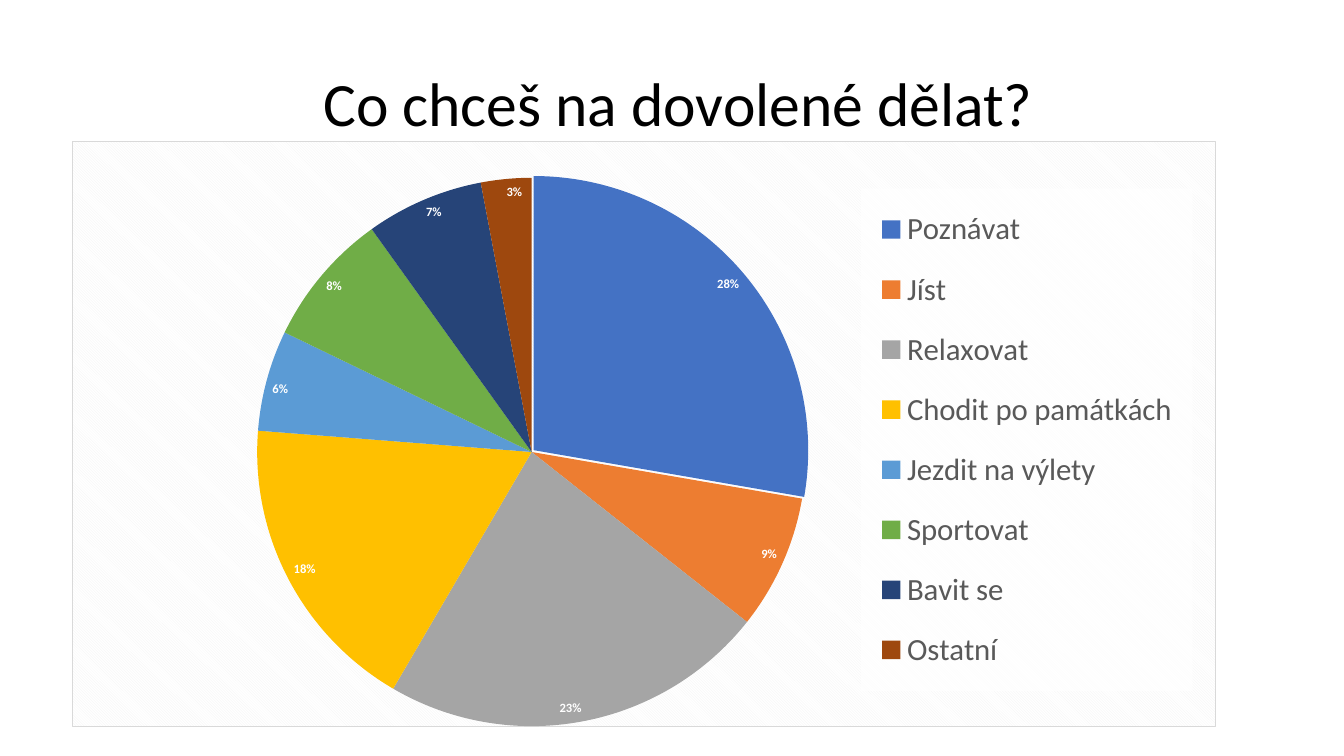
"""Build a slide with a pie chart of what people want to do on holiday."""
import pptx
import pptx.chart.data
import pptx.dml.color
import pptx.enum.chart
import pptx.enum.text
import pptx.oxml
import pptx.util

NS = ('xmlns:c="http://schemas.openxmlformats.org/drawingml/2006/chart" '
      'xmlns:a="http://schemas.openxmlformats.org/drawingml/2006/main"')
FONT = "Calibri"


def style(font, size, color, bold=False):
    font.name, font.size, font.bold = FONT, pptx.util.Pt(size), bold
    font.color.rgb = pptx.dml.color.RGBColor.from_string(color)


def layout(x, y, w, h, target=""):
    return pptx.oxml.parse_xml(
        f'<c:layout {NS}><c:manualLayout>{target}'
        '<c:xMode val="edge"/><c:yMode val="edge"/>'
        f'<c:x val="{x}"/><c:y val="{y}"/><c:w val="{w}"/><c:h val="{h}"/>'
        '</c:manualLayout></c:layout>')


activities = [
    ("Poznávat", 28, "4472C4"),
    ("Jíst", 8, "ED7D31"),
    ("Relaxovat", 23, "A5A5A5"),
    ("Chodit po památkách", 18, "FFC000"),
    ("Jezdit na výlety", 6, "5B9BD5"),
    ("Sportovat", 8, "70AD47"),
    ("Bavit se", 7, "264478"),
    ("Ostatní", 3, "9E480E"),
]

deck = pptx.Presentation()
deck.slide_width = pptx.util.Inches(13.33)
deck.slide_height = pptx.util.Inches(7.5)
slide = deck.slides.add_slide(deck.slide_layouts[6])

survey = pptx.chart.data.CategoryChartData()
survey.categories = [name for name, share, color in activities]
survey.add_series("Series 1", [share for name, share, color in activities])
pie = slide.shapes.add_chart(
    pptx.enum.chart.XL_CHART_TYPE.PIE,
    *[pptx.util.Inches(n) for n in (0.71, 1.4, 11.35, 5.81)], survey).chart
pie.has_title = False
style(pie.font, 10, "000000")
pie._chartSpace.find("{*}chart").addnext(pptx.oxml.parse_xml(
    f'<c:spPr {NS}><a:pattFill prst="dkDnDiag">'
    '<a:fgClr><a:srgbClr val="F2F2F2"/></a:fgClr>'
    '<a:bgClr><a:srgbClr val="FFFFFF"/></a:bgClr></a:pattFill>'
    '<a:ln w="9525"><a:solidFill><a:srgbClr val="D9D9D9"/></a:solidFill></a:ln>'
    '</c:spPr>'))

plot_area = pie._chartSpace.find(".//{*}plotArea")
for automatic in plot_area.findall("{*}layout"):
    plot_area.remove(automatic)
plot_area.insert(0, layout(0.149, 0.062, 0.506, 0.938,
                           '<c:layoutTarget val="inner"/>'))

plot = pie.plots[0]
plot.vary_by_categories = True
slices = plot.series[0]
for index, (name, share, color) in enumerate(activities):
    fill = slices.points[index].format.fill
    fill.solid()
    fill.fore_color.rgb = pptx.dml.color.RGBColor.from_string(color)
slices._element.find("{*}dPt/{*}spPr").addprevious(
    pptx.oxml.parse_xml(f'<c:explosion {NS} val="1"/>'))

shares = slices.data_labels
shares.show_percentage, shares.show_value = True, False
shares.position = pptx.enum.chart.XL_LABEL_POSITION.INSIDE_END
style(shares.font, 9, "FFFFFF", True)
eating = slices.points[1].data_label
eating_share = eating.text_frame.paragraphs[0].add_run()
eating_share.text = "9%"
style(eating_share.font, 9, "FFFFFF", True)
eating.position = pptx.enum.chart.XL_LABEL_POSITION.INSIDE_END

pie.has_legend = True
legend = pie.legend
legend.position = pptx.enum.chart.XL_LEGEND_POSITION.RIGHT
legend.include_in_layout = False
style(legend.font, 22, "595959")
for old in legend._element.findall("{*}layout"):
    legend._element.remove(old)
legend._element.find("{*}legendPos").addnext(layout(0.69, 0.08, 0.29, 0.86))
legend._element.find("{*}overlay").addnext(pptx.oxml.parse_xml(
    f'<c:spPr {NS}><a:solidFill><a:srgbClr val="FFFFFF">'
    '<a:alpha val="78000"/></a:srgbClr></a:solidFill></c:spPr>'))

question = slide.shapes.add_textbox(
    *[pptx.util.Inches(n) for n in (1.25, 0.6, 10.96, 0.84)]).text_frame
question.word_wrap = True
question.paragraphs[0].alignment = pptx.enum.text.PP_ALIGN.CENTER
wording = question.paragraphs[0].add_run()
wording.text = "Co chceš na dovolené dělat?"
style(wording.font, 44, "000000")

deck.save("out.pptx")
